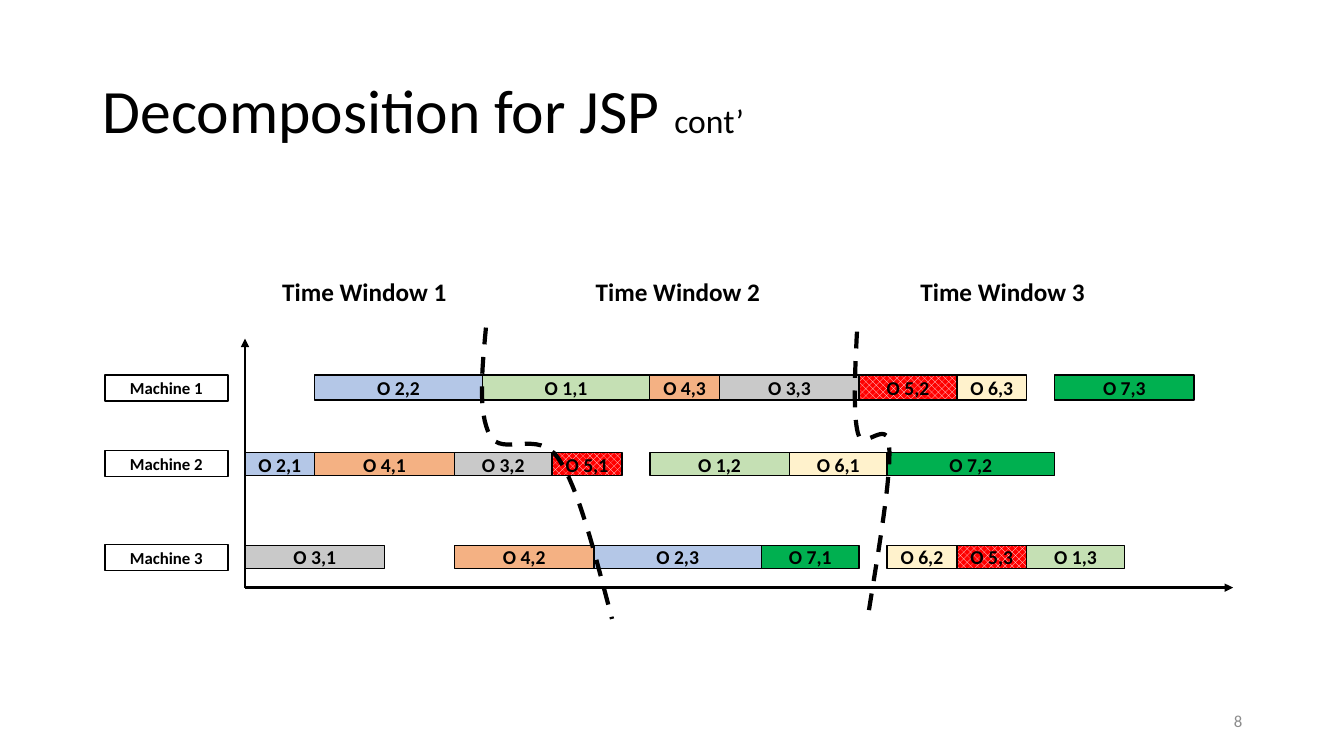
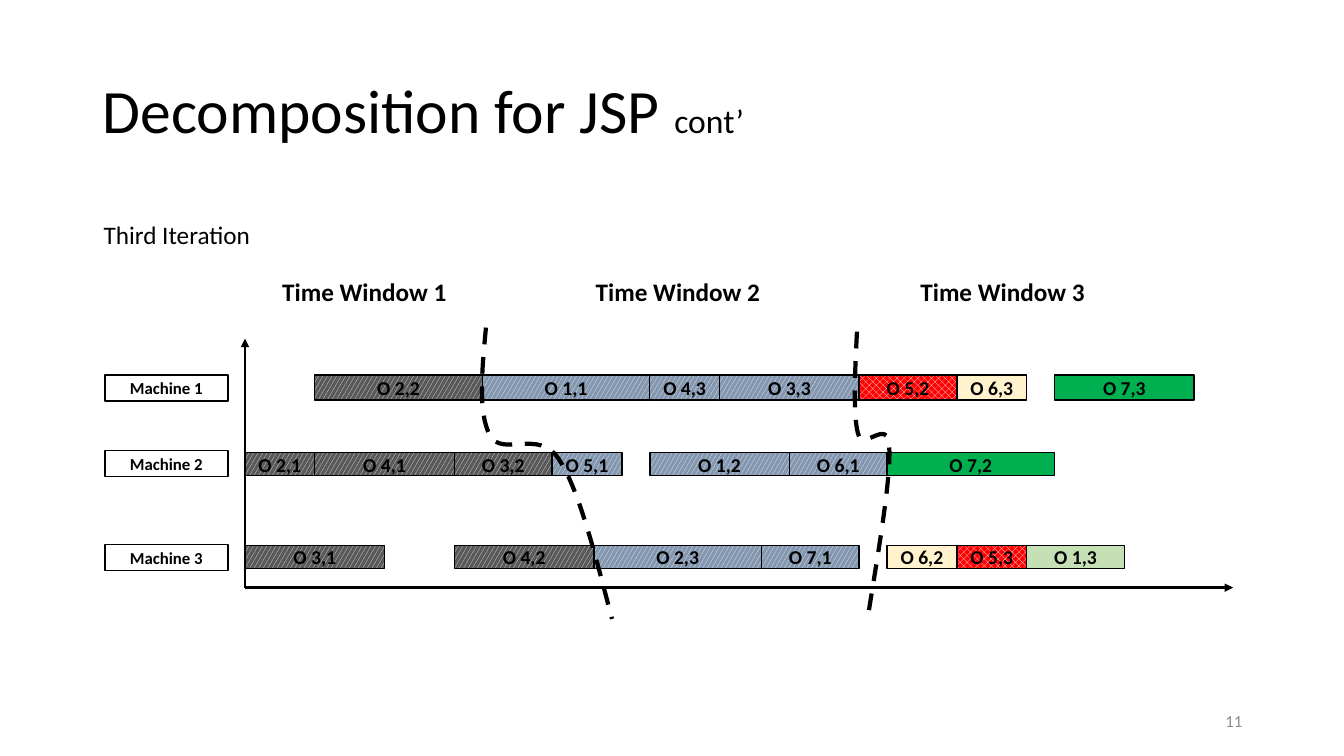
from dataclasses import dataclass, field
from typing import NamedTuple

from pptx import Presentation
from pptx.dml.color import RGBColor
from pptx.enum.dml import MSO_LINE_DASH_STYLE as Dash, MSO_PATTERN_TYPE as Pattern
from pptx.enum.shapes import MSO_CONNECTOR_TYPE as Connector, MSO_SHAPE
from pptx.enum.text import MSO_ANCHOR as Anchor, PP_ALIGN as Align
from pptx.oxml.ns import qn
from pptx.slide import Slide
from pptx.text.text import TextFrame, _Paragraph as Paragraph
from pptx.util import Inches, Pt
from lxml.etree import SubElement

WIDTH, HEIGHT = 13.33, 7.5

BLACK = RGBColor(0x00, 0x00, 0x00)
WHITE = RGBColor(0xFF, 0xFF, 0xFF)
PAGE_GREY = RGBColor(0x8C, 0x8C, 0x8C)
LIGHT_GREEN = RGBColor(0xC5, 0xE0, 0xB4)
LIGHT_BLUE = RGBColor(0xB4, 0xC7, 0xE7)
SILVER = RGBColor(0xC9, 0xC9, 0xC9)
ORANGE = RGBColor(0xF4, 0xB1, 0x83)
RED = RGBColor(0xFF, 0x00, 0x00)
CREAM = RGBColor(0xFF, 0xF2, 0xCC)
GREEN = RGBColor(0x00, 0xB0, 0x50)
DARK_GREY = RGBColor(0x59, 0x59, 0x59)
SLATE = RGBColor(0x84, 0x97, 0xB0)

TITLE_FONT = {"size": Pt(44)}
TITLE_SUFFIX_FONT = {"size": Pt(24)}
WINDOW_FONT = {"size": Pt(18), "bold": True}
NOTE_FONT = {"size": Pt(18)}
OPERATION_FONT = {"size": Pt(14), "bold": True}
SMALL_BOLD_FONT = {"size": Pt(12), "bold": True}
PAGE_FONT = {"size": Pt(12)}

# The chart starts at the origin; one column is one unit of time.
ORIGIN_X, ORIGIN_Y = 2.43, 5.83
COLUMN = 8.03 / 58
AXIS_TOP, AXIS_RIGHT = 3.36, 12.23


class Box(NamedTuple):
    left: float
    top: float
    width: float
    height: float

    def emu(self) -> list[int]:
        return [Inches(length) for length in self]


class Paint(NamedTuple):
    color: RGBColor
    pattern: Pattern | None = None


class Operation(NamedTuple):
    job: int
    step: int
    start: int
    duration: int
    window: int


@dataclass(frozen=True)
class Machine:
    label_top: float
    bar_top: float
    bar_height: float
    operations: list[Operation]


@dataclass(frozen=True)
class Iteration:
    page: str
    note: str = ""
    window_paints: dict[int, Paint] = field(default_factory=dict)


JOB_PAINTS = {
    1: Paint(LIGHT_GREEN),
    2: Paint(LIGHT_BLUE),
    3: Paint(SILVER),
    4: Paint(ORANGE),
    5: Paint(RED, Pattern.PERCENT_50),
    6: Paint(CREAM),
    7: Paint(GREEN),
}
FIXED = Paint(DARK_GREY, Pattern.LARGE_CONFETTI)
SOLVED = Paint(SLATE, Pattern.LARGE_CONFETTI)

MACHINES = [
    Machine(3.72, 3.72, 0.25, [
        Operation(2, 2, 5, 12, 1), Operation(1, 1, 17, 12, 2),
        Operation(4, 3, 29, 5, 2), Operation(3, 3, 34, 10, 2),
        Operation(5, 2, 44, 7, 3), Operation(6, 3, 51, 5, 3),
        Operation(7, 3, 58, 10, 3),
    ]),
    Machine(4.47, 4.49, 0.23, [
        Operation(2, 1, 0, 5, 1), Operation(4, 1, 5, 10, 1),
        Operation(3, 2, 15, 7, 1), Operation(5, 1, 22, 5, 2),
        Operation(1, 2, 29, 10, 2), Operation(6, 1, 39, 7, 2),
        Operation(7, 2, 46, 12, 3),
    ]),
    Machine(5.4, 5.41, 0.23, [
        Operation(3, 1, 0, 10, 1), Operation(4, 2, 15, 10, 1),
        Operation(2, 3, 25, 12, 2), Operation(7, 1, 37, 7, 2),
        Operation(6, 2, 46, 5, 3), Operation(5, 3, 51, 5, 3),
        Operation(1, 3, 56, 7, 3),
    ]),
]

WINDOW_LEFTS = [2.7, 5.81, 9.03]

# Each boundary is a start point and then three points for every Bézier curve.
BOUNDARIES = [
    [(4.82, 3.25), (4.78, 3.67), (4.74, 4.1), (4.86, 4.32), (4.98, 4.54),
     (5.34, 4.25), (5.54, 4.55), (5.74, 4.85), (5.9, 5.49), (6.07, 6.14)],
    [(8.5, 3.29), (8.48, 3.7), (8.46, 4.11), (8.51, 4.3), (8.56, 4.49),
     (8.81, 4.13), (8.82, 4.43), (8.84, 4.73), (8.72, 5.42), (8.61, 6.11)],
]
CURVE_STEPS = 16

ITERATIONS = [
    Iteration("8"),
    Iteration("11", "Third Iteration", {1: FIXED, 2: SOLVED}),
]


def add_run(paragraph: Paragraph, text: str, font: dict, color: RGBColor = BLACK) -> None:
    run = paragraph.add_run()
    run.text = text
    for name, value in {"name": "Calibri", **font}.items():
        setattr(run.font, name, value)
    run.font.color.rgb = color


def set_frame(frame: TextFrame, anchor: Anchor, align: Align, wrap: bool = True) -> Paragraph:
    """Lay out a text frame and return its first paragraph."""
    for name, value in {"vertical_anchor": anchor, "word_wrap": wrap}.items():
        setattr(frame, name, value)
    frame.paragraphs[0].alignment = align
    return frame.paragraphs[0]


def add_text(slide: Slide, box: Box, text: str, font: dict, *, color: RGBColor = BLACK,
             anchor: Anchor = Anchor.TOP, align: Align = Align.LEFT,
             wrap: bool = True) -> Paragraph:
    frame = slide.shapes.add_textbox(*box.emu()).text_frame
    paragraph = set_frame(frame, anchor, align, wrap)
    add_run(paragraph, text, font, color)
    return paragraph


def add_block(slide: Slide, box: Box, text: str, font: dict, paint: Paint | None = None) -> None:
    """Add an outlined rectangle with a centred label."""
    block = slide.shapes.add_shape(MSO_SHAPE.RECTANGLE, *box.emu())
    block.shadow.inherit = False
    block.line.color.rgb = BLACK
    block.line.width = Pt(1)
    if paint is None:
        block.fill.background()
    elif paint.pattern is None:
        block.fill.solid()
        block.fill.fore_color.rgb = paint.color
    else:
        block.fill.patterned()
        block.fill.pattern = paint.pattern
        block.fill.fore_color.rgb = WHITE
        block.fill.back_color.rgb = paint.color
    add_run(set_frame(block.text_frame, Anchor.MIDDLE, Align.CENTER), text, font)


def add_axis(slide: Slide, end_x: float, end_y: float) -> None:
    ends = [Inches(length) for length in (ORIGIN_X, ORIGIN_Y, end_x, end_y)]
    axis = slide.shapes.add_connector(Connector.STRAIGHT, *ends)
    axis.line.color.rgb = BLACK
    axis.line.width = Pt(2)
    SubElement(axis.line._get_or_add_ln(), qn("a:tailEnd"), type="triangle")
    SubElement(axis._element.spPr, qn("a:effectLst"))


def curve_points(knots: list[tuple[float, float]]) -> list[tuple[int, int]]:
    """Sample a chain of cubic Bézier curves."""
    points = [knots[0]]
    for first in range(0, len(knots) - 1, 3):
        controls = knots[first:first + 4]
        for step in range(1, CURVE_STEPS + 1):
            t = step / CURVE_STEPS
            weights = ((1 - t) ** 3, 3 * t * (1 - t) ** 2, 3 * t * t * (1 - t), t ** 3)
            points.append(tuple(
                sum(weight * control[axis] for weight, control in zip(weights, controls))
                for axis in (0, 1)))
    return [(Inches(x), Inches(y)) for x, y in points]


def add_boundary(slide: Slide, knots: list[tuple[float, float]]) -> None:
    start, *rest = curve_points(knots)
    builder = slide.shapes.build_freeform(*start)
    builder.add_line_segments(rest, close=False)
    boundary = builder.convert_to_shape()
    boundary.shadow.inherit = False
    boundary.fill.background()
    boundary.line.color.rgb = BLACK
    for name, value in {"width": Pt(3), "dash_style": Dash.DASH}.items():
        setattr(boundary.line, name, value)


def add_machine(slide: Slide, number: int, machine: Machine,
                window_paints: dict[int, Paint]) -> None:
    add_block(slide, Box(1.04, machine.label_top, 1.22, 0.26), f"Machine {number}",
              SMALL_BOLD_FONT)
    for operation in machine.operations:
        bar = Box(ORIGIN_X + operation.start * COLUMN, machine.bar_top,
                  operation.duration * COLUMN, machine.bar_height)
        paint = window_paints.get(operation.window, JOB_PAINTS[operation.job])
        add_block(slide, bar, f"O {operation.job},{operation.step}", OPERATION_FONT, paint)


def add_title_and_page(slide: Slide, page: str) -> None:
    title = add_text(slide, Box(0.92, 0.4, 11.5, 1.45), "Decomposition for JSP ",
                     TITLE_FONT, anchor=Anchor.MIDDLE)
    title.line_spacing = 0.9
    add_run(title, "cont’", TITLE_SUFFIX_FONT)
    add_text(slide, Box(9.42, 6.95, 3, 0.4), page, PAGE_FONT, color=PAGE_GREY,
             anchor=Anchor.MIDDLE, align=Align.RIGHT)


def add_schedule(slide: Slide, iteration: Iteration) -> None:
    add_title_and_page(slide, iteration.page)
    if iteration.note:
        add_text(slide, Box(0.93, 2.13, 1.96, 0.4), iteration.note, NOTE_FONT)
    for number, machine in enumerate(MACHINES, 1):
        add_machine(slide, number, machine, iteration.window_paints)
    add_axis(slide, ORIGIN_X, AXIS_TOP)
    add_axis(slide, AXIS_RIGHT, ORIGIN_Y)
    for knots in BOUNDARIES:
        add_boundary(slide, knots)
    for number, left in enumerate(WINDOW_LEFTS, 1):
        add_text(slide, Box(left, 2.69, 1.85, 0.4), f"Time Window {number}",
                 WINDOW_FONT, wrap=False)


def main() -> None:
    deck = Presentation()
    deck.slide_width, deck.slide_height = Inches(WIDTH), Inches(HEIGHT)
    blank = deck.slide_layouts[6]
    for iteration in ITERATIONS:
        add_schedule(deck.slides.add_slide(blank), iteration)
    deck.save("out.pptx")


if __name__ == "__main__":
    main()
